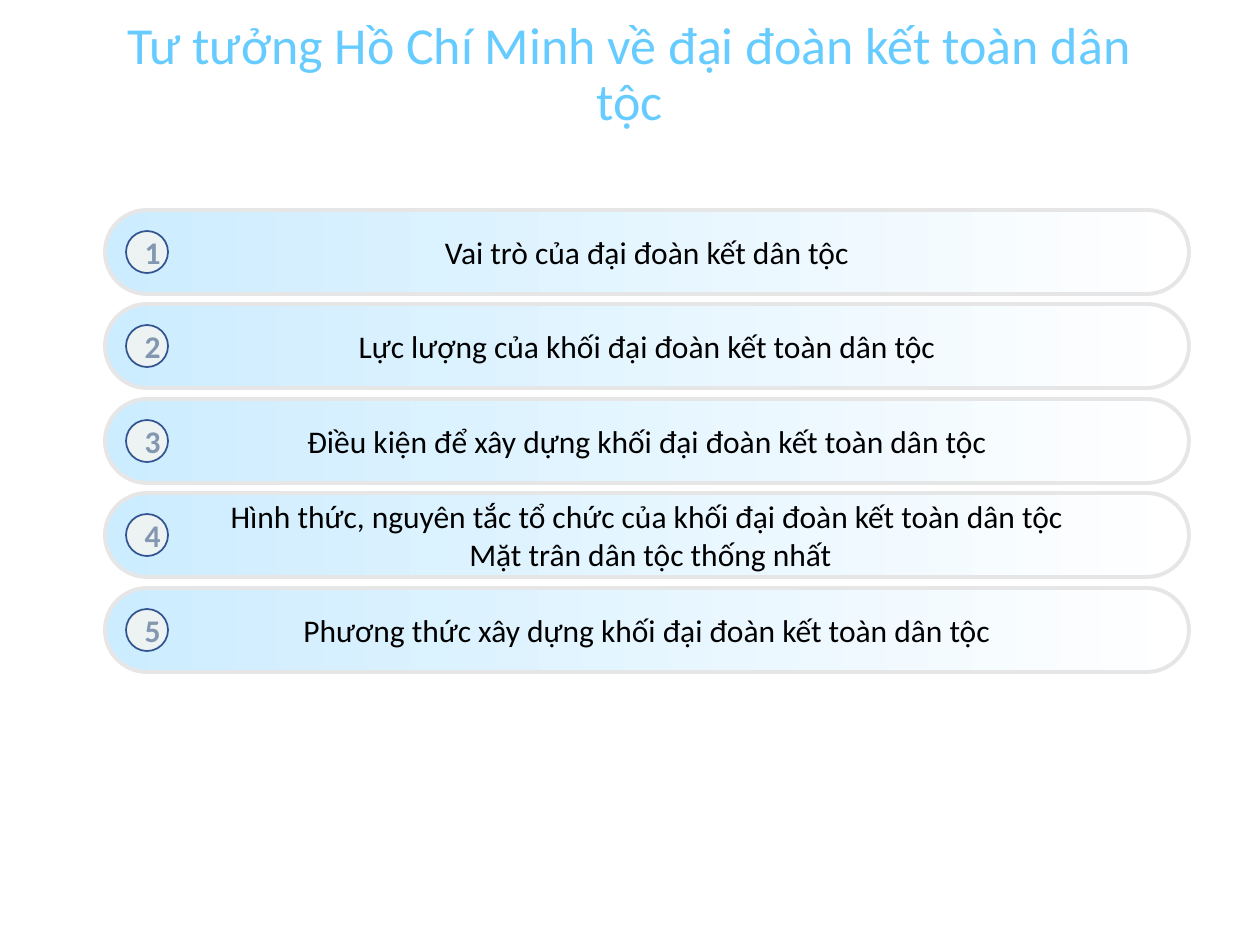
from dataclasses import dataclass

from pptx import Presentation
from pptx.dml.color import RGBColor
from pptx.enum.shapes import MSO_SHAPE
from pptx.enum.text import MSO_ANCHOR, PP_ALIGN
from pptx.shapes.base import BaseShape
from pptx.shapes.group import GroupShape
from pptx.slide import Slide
from pptx.util import Emu, Pt

PILL = MSO_SHAPE.ROUNDED_RECTANGLE
DISC = MSO_SHAPE.OVAL
MIDDLE = MSO_ANCHOR.MIDDLE
CENTER = PP_ALIGN.CENTER
SCALE = 914400 / 126


@dataclass(frozen=True)
class Theme:
    font: str = "Calibri"
    title: str = "66CCFF"
    text: str = "000000"
    start: str = "CCECFF"
    end: str = "FFFFFF"
    edge: str = "E7E6E6"
    disc: str = "EDF3F3"
    ring: str = "325491"
    digit: str = "8497B0"
    head_size: float = 29.7
    size: float = 18
    edge_width: float = 2.25
    ring_width: float = 1


@dataclass(frozen=True)
class Box:
    left: int
    top: int
    width: int
    height: int


@dataclass(frozen=True)
class Topic:
    number: int
    label: str


THEME = Theme()
HEAD = "Tư tưởng Hồ Chí Minh về đại đoàn kết toàn dân tộc"
LABELS = (
    "Vai trò của đại đoàn kết dân tộc",
    "Lực lượng của khối đại đoàn kết toàn dân tộc",
    "Điều kiện để xây dựng khối đại đoàn kết toàn dân tộc",
    "Hình thức, nguyên tắc tổ chức của khối đại đoàn kết toàn dân tộc\n"
    " Mặt trân dân tộc thống nhất",
    "Phương thức xây dựng khối đại đoàn kết toàn dân tộc",
)
TOPICS = [Topic(n, label) for n, label in enumerate(LABELS, 1)]
FIRST, LAST = 210, 588


def px(value: int) -> Emu:
    return Emu(round(value * SCALE))


def place(box: Box) -> tuple[Emu, Emu, Emu, Emu]:
    return px(box.left), px(box.top), px(box.width), px(box.height)


def color(code: str) -> RGBColor:
    return RGBColor.from_string(code)


def write(shape: BaseShape, text: str, size: float, code: str,
          bold: bool = False, wrap: bool = True, pitch: float = 1.0) -> None:
    frame = shape.text_frame
    frame.text = text
    frame.word_wrap = wrap
    frame.vertical_anchor = MIDDLE
    for para in frame.paragraphs:
        para.alignment = CENTER
        para.line_spacing = pitch
        for run in para.runs:
            run.font.name = THEME.font
            run.font.size = Pt(size)
            run.font.bold = bold
            run.font.color.rgb = color(code)


def add_shape(group: GroupShape, kind: MSO_SHAPE, box: Box,
              line: str, width: float) -> BaseShape:
    shape = group.shapes.add_shape(kind, *place(box))
    shape.shadow.inherit = False
    shape.line.color.rgb = color(line)
    shape.line.width = Pt(width)
    return shape


def add_topic(slide: Slide, topic: Topic, top: int) -> None:
    group = slide.shapes.add_group_shape()
    pill = add_shape(group, PILL, Box(105, top, 1084, 84),
                     THEME.edge, THEME.edge_width)
    pill.adjustments[0] = 0.5
    pill.fill.gradient()
    pill.fill.gradient_angle = 0
    for stop, code in zip(pill.fill.gradient_stops, (THEME.start, THEME.end)):
        stop.color.rgb = color(code)
    write(pill, topic.label, THEME.size, THEME.text, wrap=False)

    disc = add_shape(group, DISC, Box(126, top + 21, 42, 42),
                     THEME.ring, THEME.ring_width)
    disc.fill.solid()
    disc.fill.fore_color.rgb = color(THEME.disc)
    write(disc, str(topic.number), THEME.size, THEME.digit, bold=True)


def main() -> None:
    deck = Presentation()
    deck.slide_width, deck.slide_height = px(1260), px(945)
    slide = deck.slides.add_slide(deck.slide_layouts[6])
    head = slide.shapes.add_textbox(*place(Box(99, 18, 1061, 116)))
    write(head, HEAD, THEME.head_size, THEME.title, pitch=0.9)
    for i, topic in enumerate(TOPICS):
        top = FIRST + (LAST - FIRST) * i // (len(TOPICS) - 1)
        add_topic(slide, topic, top)
    deck.save("out.pptx")


if __name__ == "__main__":
    main()
